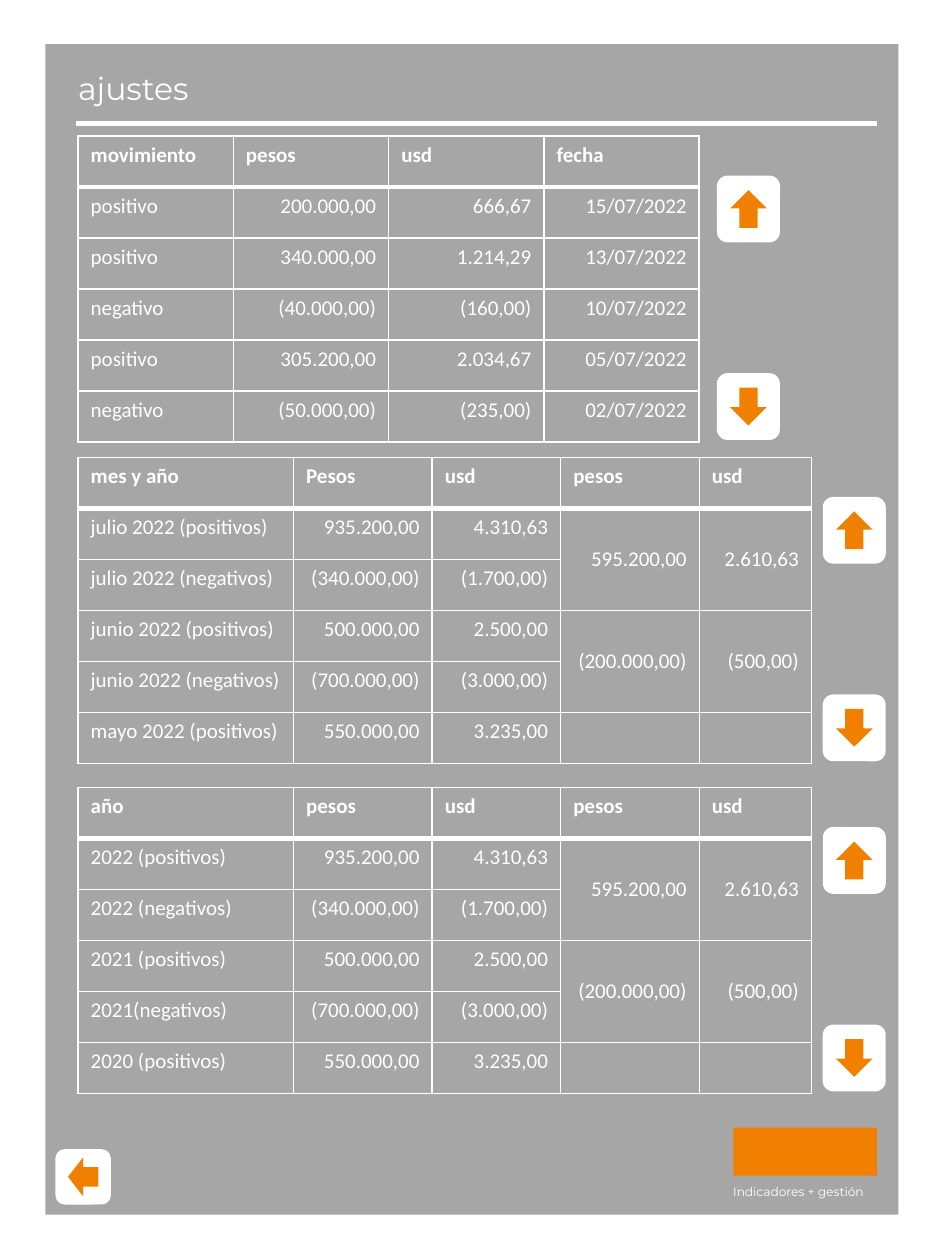
from dataclasses import dataclass

from lxml import etree
from pptx import Presentation
from pptx.dml.color import RGBColor
from pptx.enum.shapes import MSO_CONNECTOR, MSO_SHAPE
from pptx.enum.text import MSO_ANCHOR, MSO_AUTO_SIZE, PP_ALIGN
from pptx.oxml.ns import qn
from pptx.shapes.autoshape import Shape
from pptx.slide import Slide
from pptx.table import _Cell
from pptx.util import Inches, Pt

RECTANGLE, ROUNDED = MSO_SHAPE.RECTANGLE, MSO_SHAPE.ROUNDED_RECTANGLE
LEFT_ARROW, STRAIGHT = MSO_SHAPE.LEFT_ARROW, MSO_CONNECTOR.STRAIGHT
LEFT, RIGHT = PP_ALIGN.LEFT, PP_ALIGN.RIGHT
TOP, MIDDLE = MSO_ANCHOR.TOP, MSO_ANCHOR.MIDDLE
NO_AUTOFIT = MSO_AUTO_SIZE.NONE

WHITE, GREY, ORANGE = "FFFFFF", "A6A6A6", "F28000"
TABLE_LEFT, ROW_HEIGHT = 0.62, 0.405
UP_ROW, DOWN_ROW = 1.43, 5.3
MOVEMENT_COLUMNS = [1.2325] * 4
BALANCE_COLUMNS = [1.71, 1.1, 1.02, 1.1, 0.89]
AMOUNTS = [
    ["935.200,00", "4.310,63", "595.200,00", "2.610,63"],
    ["(340.000,00)", "(1.700,00)", "", ""],
    ["500.000,00", "2.500,00", "(200.000,00)", "(500,00)"],
    ["(700.000,00)", "(3.000,00)", "", ""],
    ["550.000,00", "3.235,00", "", ""],
]


@dataclass
class Grid:
    top: float
    columns: list[float]
    rows: list[list[str]]
    button_gap: float
    merged: bool = False


@dataclass
class Button:
    center_x: float
    center_y: float
    width: float = 0.53
    height: float = 0.5
    arrow_width: float = 0.3
    arrow_height: float = 0.29
    rotation: int = 0


def balance_rows(header: str, amount_header: str, periods: list[str]) -> list[list[str]]:
    rows = [[period, *amounts] for period, amounts in zip(periods, AMOUNTS)]
    return [[header, amount_header, "usd", "pesos", "usd"], *rows]


GRIDS = [
    Grid(1.08, MOVEMENT_COLUMNS, [
        ["movimiento", "pesos", "usd", "fecha"],
        ["positivo", "200.000,00", "666,67", "15/07/2022"],
        ["positivo", "340.000,00", "1.214,29", "13/07/2022"],
        ["negativo", "(40.000,00)", "(160,00)", "10/07/2022"],
        ["positivo", "305.200,00", "2.034,67", "05/07/2022"],
        ["negativo", "(50.000,00)", "(235,00)", "02/07/2022"],
    ], 0.39),
    Grid(3.63, BALANCE_COLUMNS, balance_rows("mes y año", "Pesos", [
        "julio 2022 (positivos)", "julio 2022 (negativos)", "junio 2022 (positivos)",
        "junio 2022 (negativos)", "mayo 2022 (positivos)",
    ]), 0.34, True),
    Grid(6.25, BALANCE_COLUMNS, balance_rows("año", "pesos", [
        "2022 (positivos)", "2022 (negativos)", "2021 (positivos)",
        "2021(negativos)", "2020 (positivos)",
    ]), 0.34, True),
]


def color(value: str) -> RGBColor:
    return RGBColor.from_string(value)


def add_block(slide: Slide, kind: MSO_SHAPE, left: float, top: float,
              width: float, height: float, fill: str) -> Shape:
    shape = slide.shapes.add_shape(kind, Inches(left), Inches(top), Inches(width), Inches(height))
    shape.shadow.inherit = False
    shape.fill.solid()
    shape.fill.fore_color.rgb = color(fill)
    shape.line.fill.background()
    return shape


def write_label(shape: Shape, text: str, size: int, left: float, top: float,
                width: float, height: float) -> None:
    shape.left, shape.top = Inches(left), Inches(top)
    shape.width, shape.height = Inches(width), Inches(height)
    frame = shape.text_frame
    frame.text = text
    frame.word_wrap = True
    frame.auto_size = NO_AUTOFIT
    frame.vertical_anchor = TOP
    paragraph = frame.paragraphs[0]
    paragraph.alignment = LEFT
    paragraph.font.name = "Montserrat"
    paragraph.font.size = Pt(size)
    paragraph.font.color.rgb = color(WHITE)


def add_button(slide: Slide, button: Button) -> None:
    sizes = [(ROUNDED, button.width, button.height, WHITE),
             (LEFT_ARROW, button.arrow_width, button.arrow_height, ORANGE)]
    for kind, width, height, fill in sizes:
        shape = add_block(slide, kind, button.center_x - width / 2,
                          button.center_y - height / 2, width, height, fill)
        shape.rotation = button.rotation


def set_borders(cell: _Cell, top: int, bottom: int) -> None:
    properties = cell._tc.get_or_add_tcPr()
    for tag, points in (("a:lnL", 1), ("a:lnR", 1), ("a:lnT", top), ("a:lnB", bottom)):
        line = etree.SubElement(properties, qn(tag), w=str(Pt(points)))
        fill = etree.SubElement(line, qn("a:solidFill"))
        etree.SubElement(fill, qn("a:srgbClr"), val=WHITE)


def format_cell(cell: _Cell, text: str, row: int, column: int) -> None:
    cell.text = text
    set_borders(cell, 3 if row == 1 else 1, 3 if row == 0 else 1)
    cell.fill.background()
    paragraph = cell.text_frame.paragraphs[0]
    paragraph.alignment = RIGHT if row and column else LEFT
    paragraph.font.name = "Calibri"
    paragraph.font.size = Pt(12)
    paragraph.font.bold = row == 0
    paragraph.font.color.rgb = color(WHITE)


def add_grid(slide: Slide, grid: Grid) -> None:
    width = sum(grid.columns)
    table = slide.shapes.add_table(
        len(grid.rows), len(grid.columns), Inches(TABLE_LEFT), Inches(grid.top),
        Inches(width), Inches(ROW_HEIGHT * len(grid.rows))).table
    table.horz_banding = False
    for column, column_width in zip(table.columns, grid.columns):
        column.width = Inches(column_width)
    for row, texts in enumerate(grid.rows):
        table.rows[row].height = Inches(ROW_HEIGHT)
        for column, text in enumerate(texts):
            format_cell(table.cell(row, column), text, row, column)
    if grid.merged:
        for row in (1, 3):
            for column in (3, 4):
                cell = table.cell(row, column)
                cell.merge(table.cell(row + 1, column))
                cell.vertical_anchor = MIDDLE
    for row, rotation in ((DOWN_ROW, 270), (UP_ROW, 90)):
        add_button(slide, Button(TABLE_LEFT + width + grid.button_gap,
                                 grid.top + row * ROW_HEIGHT, rotation=rotation))


def main() -> None:
    """Build the adjustments slide and save it."""
    presentation = Presentation()
    presentation.slide_width, presentation.slide_height = Inches(7.5), Inches(10)
    slide = presentation.slides.add_slide(presentation.slide_layouts[5])
    title = slide.shapes.title
    panel = add_block(slide, RECTANGLE, 0.36, 0.35, 6.77, 9.29, GREY)
    title.element.addprevious(panel.element)
    write_label(title, "ajustes", 18, 0.52, 0.5, 5.86, 0.4)
    add_block(slide, RECTANGLE, 5.82, 8.95, 1.14, 0.38, ORANGE)
    tagline = slide.shapes.add_textbox(0, 0, 0, 0)
    write_label(tagline, "Indicadores + gestión", 7, 5.72, 9.35, 1.5, 0.22)
    rule = slide.shapes.add_connector(STRAIGHT, Inches(0.6), Inches(0.98), Inches(6.96), Inches(0.98))
    rule.line.color.rgb = color(WHITE)
    rule.line.width = Pt(3)
    etree.SubElement(rule.element.spPr, qn("a:effectLst"))
    add_button(slide, Button(0.66, 9.34, 0.44, 0.44, 0.24, 0.31))
    for grid in GRIDS:
        add_grid(slide, grid)
    presentation.save("out.pptx")


if __name__ == "__main__":
    main()
